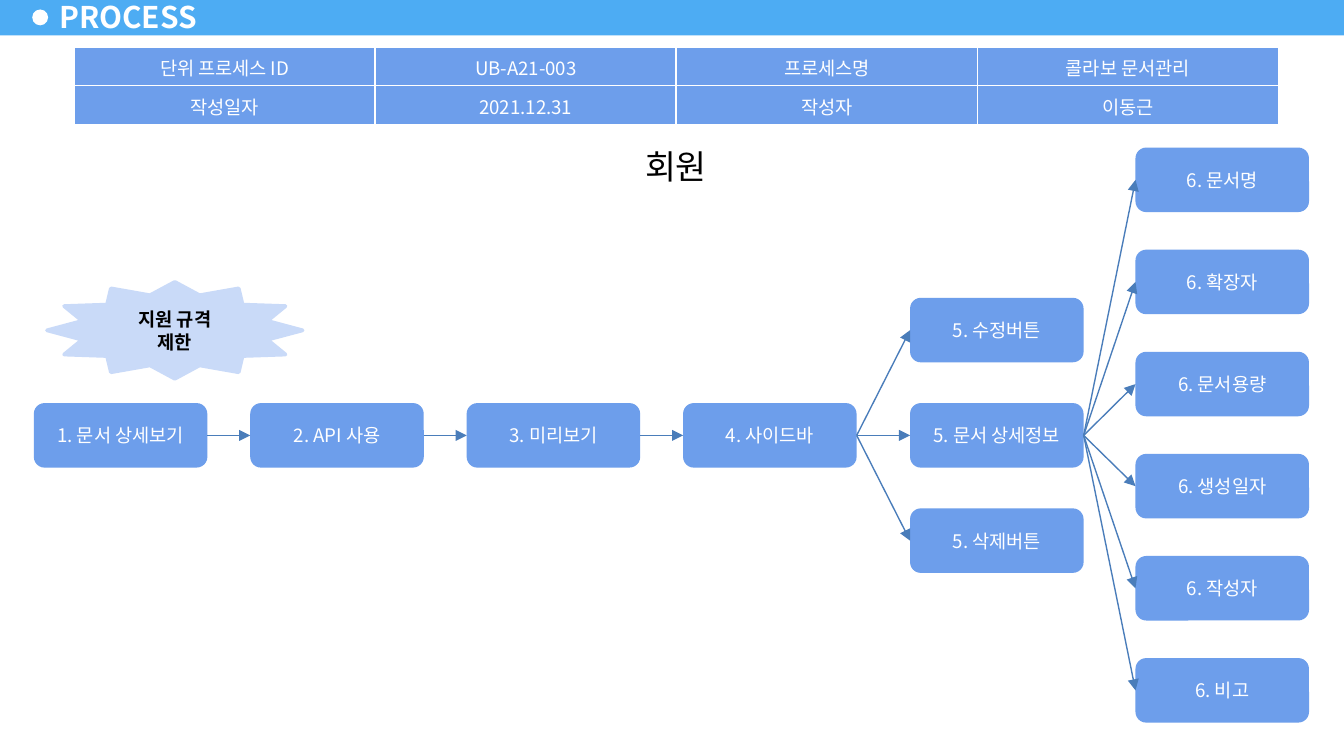
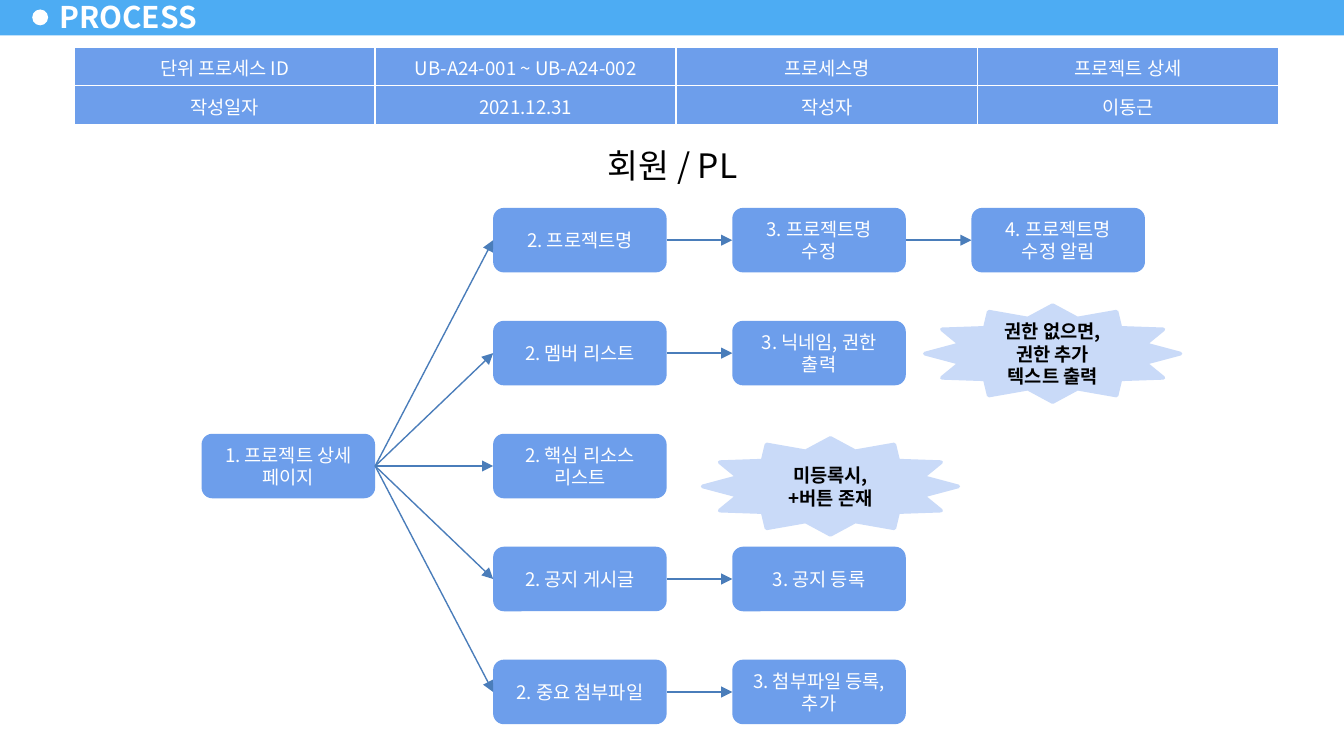
from dataclasses import dataclass

from lxml import etree
from pptx import Presentation
from pptx import util as u
from pptx.dml.color import RGBColor
from pptx.enum import shapes, text
from pptx.oxml import ns


@dataclass(frozen=True)
class Theme:
    font: str = "Noto Sans CJK KR"
    band: str = "4DACF3"
    box: str = "6D9EEB"
    note: str = "C9DAF8"
    arrow: str = "4A7DBA"
    light: str = "FFFFFF"
    dark: str = "000000"
    title_size: int = 16
    caption_size: int = 18
    body_size: int = 10


THEME = Theme()
KIND = shapes.MSO_SHAPE
BOX_WIDTH, BOX_HEIGHT = 3.28, 1.22
NOTE_WIDTH, NOTE_HEIGHT = 4.83, 1.83
RIGHT_SITE, LEFT_SITE = 3, 1


def child(parent, tag, **attributes):
    return etree.SubElement(parent, ns.qn(tag), attributes)


def write(frame, words, size=THEME.body_size, color=THEME.light, bold=False,
          align=text.PP_ALIGN.CENTER, anchor=text.MSO_ANCHOR.MIDDLE):
    """Fill a text frame; a vertical tab in words is a line break."""
    frame.word_wrap = True
    frame.vertical_anchor = anchor
    frame.text = words
    para = frame.paragraphs[0]
    para.alignment = align
    for span in para.runs:
        span.font.name = THEME.font
        span.font.size = u.Pt(size)
        span.font.bold = bold
        span.font.color.rgb = RGBColor.from_string(color)
        child(span.font._element, "a:ea", typeface=THEME.font)


def add_figure(page, kind, left, top, width, height, fill, outline=None):
    figure = page.shapes.add_shape(
        kind, u.Cm(left), u.Cm(top), u.Cm(width), u.Cm(height))
    figure.shadow.inherit = False
    figure.fill.solid()
    figure.fill.fore_color.rgb = RGBColor.from_string(fill)
    if outline:
        figure.line.color.rgb = RGBColor.from_string(outline)
        figure.line.width = u.Pt(2)
    else:
        figure.line.fill.background()
    return figure


def add_header(page):
    add_figure(page, KIND.RECTANGLE, 0, -0.05, 25.4, 0.72, THEME.band)
    add_figure(page, KIND.OVAL, 0.61, 0.18, 0.3, 0.3, THEME.light)
    title = page.shapes.add_textbox(u.Cm(0.89), u.Cm(-0.1), u.Cm(3.1), u.Cm(0.81))
    frame = title.text_frame
    frame.margin_left = frame.margin_right = u.Cm(0.23)
    frame.margin_top = frame.margin_bottom = u.Cm(0.1)
    write(frame, "PROCESS", size=THEME.title_size, bold=True,
          align=text.PP_ALIGN.LEFT)


def style_cell(cell, words):
    cell.fill.solid()
    cell.fill.fore_color.rgb = RGBColor.from_string(THEME.box)
    cell.margin_left = cell.margin_right = u.Cm(0.25)
    cell.margin_top = cell.margin_bottom = u.Cm(0.13)
    write(cell.text_frame, words)
    cell.vertical_anchor = text.MSO_ANCHOR.MIDDLE
    properties = cell._tc.get_or_add_tcPr()
    for index, side in enumerate(("a:lnL", "a:lnR", "a:lnT", "a:lnB")):
        border = etree.Element(ns.qn(side), w=str(u.Pt(1)))
        child(child(border, "a:solidFill"), "a:srgbClr", val=THEME.light)
        properties.insert(index, border)


def add_process_table(page, process_id, process_name):
    rows = (("단위 프로세스 ID", process_id, "프로세스명", process_name),
            ("작성일자", "2021.12.31", "작성자", "이동근"))
    table = page.shapes.add_table(
        2, 4, u.Cm(1.4), u.Cm(0.89), u.Cm(22.76), u.Cm(1.46)).table
    for row, words in zip(table.rows, rows):
        row.height = u.Cm(0.73)
        for cell, word in zip(row.cells, words):
            style_cell(cell, word)


def add_caption(page, words, left, top, width):
    caption = add_figure(page, KIND.RECTANGLE, left, top, width, 1.04, THEME.light)
    write(caption.text_frame, words, size=THEME.caption_size, color=THEME.dark,
          anchor=text.MSO_ANCHOR.TOP)


def add_box(page, words, left, top):
    box = add_figure(page, KIND.ROUNDED_RECTANGLE, left, top,
                     BOX_WIDTH, BOX_HEIGHT, THEME.box)
    write(box.text_frame, words)
    return box


def add_column(page, labels, left, top, step):
    return [add_box(page, words, left, top + index * step)
            for index, words in enumerate(labels)]


def add_note(page, words, left, top):
    note = add_figure(page, KIND.STAR_12_POINT, left, top, NOTE_WIDTH,
                      NOTE_HEIGHT, THEME.note, outline=THEME.note)
    write(note.text_frame, words, color=THEME.dark, bold=True)


def add_arrow(page, source, target):
    arrow = page.shapes.add_connector(shapes.MSO_CONNECTOR.STRAIGHT, 0, 0, 0, 0)
    arrow.begin_connect(source, RIGHT_SITE)
    arrow.end_connect(target, LEFT_SITE)
    arrow.line.color.rgb = RGBColor.from_string(THEME.arrow)
    arrow.line.width = u.Pt(0.75)
    child(arrow.line._get_or_add_ln(), "a:tailEnd", type="triangle")
    child(arrow._element.spPr, "a:effectLst")


def add_fan(page, source, targets):
    for target in targets:
        add_arrow(page, source, target)


def add_chain(page, boxes):
    for source, target in zip(boxes, boxes[1:]):
        add_arrow(page, source, target)


def add_page(deck, process_id, process_name):
    page = deck.slides.add_slide(deck.slide_layouts[6])
    add_header(page)
    add_process_table(page, process_id, process_name)
    return page


def build_document_page(deck):
    page = add_page(deck, "UB-A21-003", "콜라보 문서관리")
    add_caption(page, "회원", 8.23, 2.64, 9.09)
    add_note(page, "지원 규격\v제한", 0.89, 5.33)

    labels = ("1. 문서 상세보기", "2. API 사용", "3. 미리보기", "4. 사이드바")
    steps = [add_box(page, words, 0.64 + index * 4.09, 7.62)
             for index, words in enumerate(labels)]
    views = add_column(page, ("5. 수정버튼", "5. 문서 상세정보", "5. 삭제버튼"),
                       17.2, 5.63, 1.99)
    details = add_column(page, ("6. 문서명", "6. 확장자", "6. 문서용량",
                                "6. 생성일자", "6. 작성자", "6. 비고"),
                         21.46, 2.79, 1.93)
    add_chain(page, steps)
    add_fan(page, steps[-1], views)
    add_fan(page, views[1], details)


def build_project_page(deck):
    page = add_page(deck, "UB-A24-001 ~ UB-A24-002", "프로젝트 상세")
    add_caption(page, "회원 / PL", 10.08, 2.62, 5.26)
    add_note(page, "미등록시,\v+버튼 존재", 13.28, 8.28)
    add_note(page, "권한 없으면,\v권한 추가\v텍스트 출력", 17.48, 5.77)

    columns = (9.32, 13.84, 18.36)
    top, step = 3.93, 2.135
    branches = (
        ("2. 프로젝트명", "3. 프로젝트명\v수정", "4. 프로젝트명\v수정 알림"),
        ("2. 멤버 리스트", "3. 닉네임, 권한\v출력"),
        ("2. 핵심 리소스\v리스트",),
        ("2. 공지 게시글", "3. 공지 등록"),
        ("2. 중요 첨부파일", "3. 첨부파일 등록, 추가"),
    )
    start = add_box(page, "1. 프로젝트 상세\v페이지", 3.81, top + 2 * step)
    for index, labels in enumerate(branches):
        boxes = [add_box(page, words, left, top + index * step)
                 for left, words in zip(columns, labels)]
        add_chain(page, [start, *boxes])


def main():
    deck = Presentation()
    deck.slide_width, deck.slide_height = u.Cm(25.4), u.Cm(14.29)
    build_document_page(deck)
    build_project_page(deck)
    deck.save("out.pptx")


if __name__ == "__main__":
    main()
